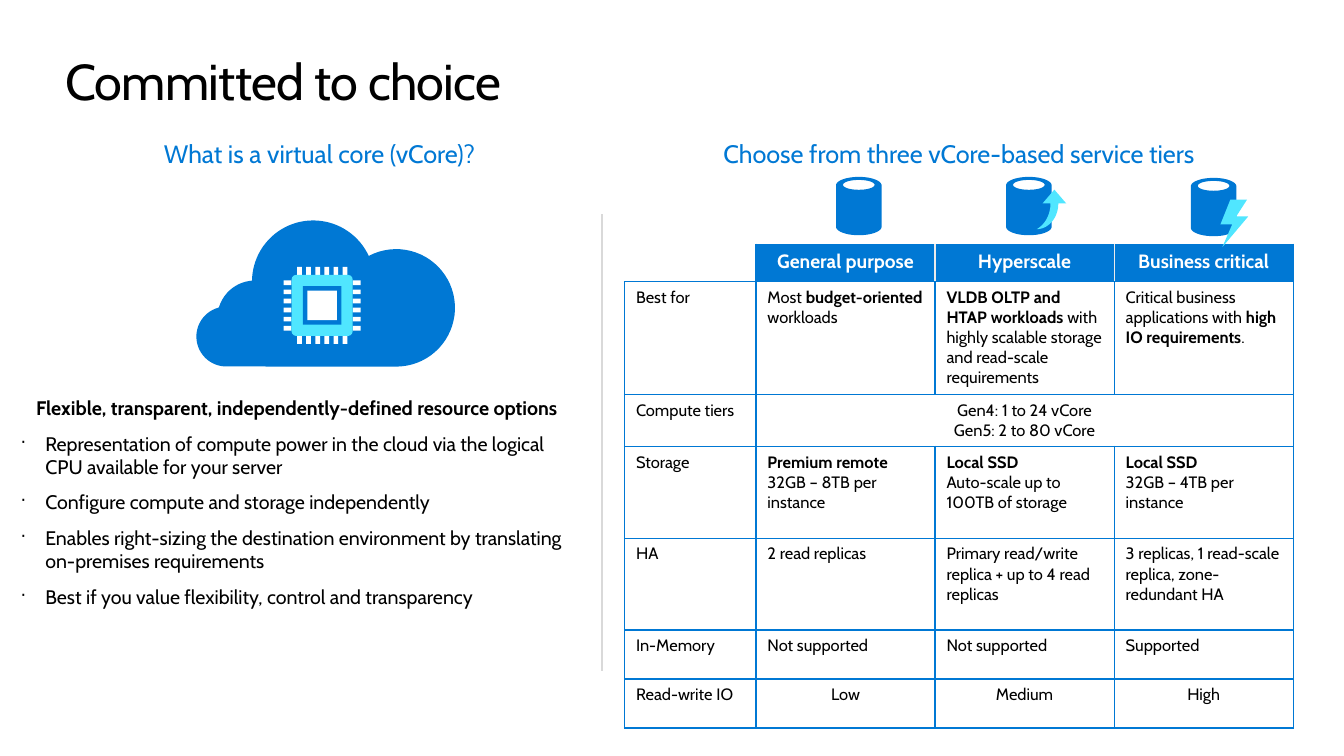
"""Build the slide on vCore-based service tiers."""
from math import cos, radians, sin

from lxml.etree import SubElement
from pptx import Presentation
from pptx.dml.color import RGBColor
from pptx.enum.shapes import MSO_CONNECTOR, MSO_SHAPE
from pptx.enum.text import MSO_ANCHOR, PP_ALIGN
from pptx.oxml.ns import qn
from pptx.util import Pt

COLORS = {"ink": "000000", "blue": "0078D4", "cyan": "50E6FF", "white": "FFFFFF",
          "rule": "D9D9D9", "light": "EBEBEB"}
FONT = "Cabin"


def rgb(name):
    return RGBColor.from_string(COLORS[name])


def write(frame, text, size=12, color="ink", bold=False, align=PP_ALIGN.LEFT,
          spacing=0, bullet=None, before=0, after=0, leading=None):
    """Add one paragraph per line; asterisks switch bold on and off."""
    for line in text.split("\n"):
        fresh = len(frame.paragraphs) == 1 and not frame.paragraphs[0].runs
        paragraph = frame.paragraphs[0] if fresh else frame.add_paragraph()
        paragraph.alignment = align
        paragraph.space_before = Pt(0 if fresh else before)
        paragraph.space_after = Pt(after)
        if leading:
            paragraph.line_spacing = leading
        if bullet:
            properties = paragraph._p.get_or_add_pPr()
            properties.set("marL", str(Pt(18)))
            properties.set("indent", str(Pt(-18)))
            SubElement(properties, qn("a:buSzPct"), val="90000")
            SubElement(properties, qn("a:buChar"), char=bullet)
        for index, part in enumerate(line.split("*")):
            if not part:
                continue
            run = paragraph.add_run()
            run.text = part
            run.font.name, run.font.size = FONT, Pt(size)
            run.font.bold = bold or index % 2 == 1
            run.font.color.rgb = rgb(color)
            if spacing:
                run._r.get_or_add_rPr().set("spc", str(int(spacing * 100)))


def arc(cx, cy, rx, ry, start, end, steps=40):
    angles = [radians(start + (end - start) * i / steps) for i in range(steps + 1)]
    return [(cx + rx * cos(a), cy + ry * sin(a)) for a in angles]


class Canvas:
    """Hold the current slide and draw styled elements in points."""

    def __init__(self, slide):
        self.shapes = slide.shapes

    def text_box(self, left, top, width, height, inset=(0, 0)):
        frame = self.shapes.add_textbox(Pt(left), Pt(top), Pt(width), Pt(height)).text_frame
        frame.word_wrap = True
        frame.margin_left = frame.margin_right = Pt(inset[0])
        frame.margin_top = frame.margin_bottom = Pt(inset[1])
        return frame

    def paint(self, shape, color):
        shape.shadow.inherit = False
        shape.fill.solid()
        shape.fill.fore_color.rgb = rgb(color)
        shape.line.fill.background()

    def outline(self, color, *contours):
        contours = [[(Pt(x), Pt(y)) for x, y in contour] for contour in contours]
        builder = self.shapes.build_freeform(*contours[0][0])
        for index, contour in enumerate(contours):
            if index:
                builder.move_to(*contour[0])
            builder.add_line_segments(contour[1:], close=True)
        self.paint(builder.convert_to_shape(), color)

    def square(self, color, left, top, side, corner=0):
        kind = MSO_SHAPE.ROUNDED_RECTANGLE if corner else MSO_SHAPE.RECTANGLE
        shape = self.shapes.add_shape(kind, Pt(left), Pt(top), Pt(side), Pt(side))
        if corner:
            shape.adjustments[0] = corner
        self.paint(shape, color)

    def database(self, left, top):
        middle = left + 16.6
        self.outline("blue",
                     arc(middle, top + 6.2, 16.6, 6.2, 180, 360)
                     + arc(middle, top + 36.3, 16.6, 6.2, 0, 180),
                     arc(middle, top + 5.8, 11.5, 3.6, 0, 360))

    def divider(self, x, top, bottom):
        line = self.shapes.add_connector(MSO_CONNECTOR.STRAIGHT, Pt(x), Pt(top), Pt(x), Pt(bottom))
        line.line.color.rgb = rgb("rule")
        line.line.width = Pt(1)
        SubElement(line._element.spPr, qn("a:effectLst"))

    def borders(self, cell, **sides):
        properties = cell._tc.get_or_add_tcPr()
        for index, side in enumerate("LRTB"):
            edge = SubElement(properties, qn("a:ln" + side), w=str(Pt(1)))
            if side in sides:
                fill = SubElement(edge, qn("a:solidFill"))
                SubElement(fill, qn("a:srgbClr"), val=COLORS[sides[side]])
            else:
                SubElement(edge, qn("a:noFill"))
            properties.insert(index, edge)

    def table(self, left, top, widths, heights, rows):
        table = self.shapes.add_table(len(rows), len(widths), Pt(left), Pt(top),
                                      Pt(sum(widths)), Pt(sum(heights))).table
        table.first_row = table.horz_banding = False
        for column, width in zip(table.columns, widths):
            column.width = Pt(width)
        for row, height in zip(table.rows, heights):
            row.height = Pt(height)
        for r, row in enumerate(rows):
            for c, text in enumerate(row):
                self.cell(table.cell(r, c), r, c, text, len(rows) - 1, len(widths) - 1)
        return table

    def cell(self, cell, r, c, text, last_row, last_column):
        header = r == 0 and c > 0
        cell.margin_left = cell.margin_right = Pt(8.4)
        cell.margin_top = cell.margin_bottom = Pt(4.3 if text else 0)
        if header:
            cell.fill.solid()
            cell.fill.fore_color.rgb = rgb("blue")
            self.borders(cell, L="light" if c > 1 else "blue",
                         R="light" if c < last_column else "blue", B="blue")
            write(cell.text_frame, text, size=14, color="white", bold=True, align=PP_ALIGN.CENTER)
            return
        cell.fill.background()
        if r == 0:
            self.borders(cell, R="blue", B="blue")
            return
        self.borders(cell, **dict.fromkeys("LRTB", "blue"))
        centred = c > 0 and (r == last_row or text.startswith("Gen"))
        write(cell.text_frame, text, align=PP_ALIGN.CENTER if centred else PP_ALIGN.LEFT)


TIERS = [
    ["", "General purpose", "Hyperscale", "Business critical"],
    ["Best for", "Most *budget-oriented* workloads",
     "*VLDB OLTP and HTAP workloads *with highly scalable storage and read-scale requirements",
     "Critical business applications with *high IO requirements*."],
    ["Compute tiers", "Gen4: 1 to 24 vCore\nGen5: 2 to 80 vCore", "", ""],
    ["Storage", "*Premium remote*\n32GB – 8TB per instance",
     "*Local SSD*\nAuto-scale up to 100TB of storage", "*Local SSD*\n32GB – 4TB per instance"],
    ["HA", "2 read replicas", "Primary read/write replica + up to 4 read replicas",
     "3 replicas, 1 read-scale replica, zone-redundant HA"],
    ["In-Memory", "Not supported", "Not supported", "Supported"],
    ["Read-write IO", "Low", "Medium", "High"],
]
BENEFITS = """Representation of compute power in the cloud via the logical CPU available for your server
Configure compute and storage independently
Enables right-sizing the destination environment by translating on-premises requirements
Best if you value flexibility, control and transparency"""


def draw_cloud_chip(canvas):
    canvas.outline("blue", arc(288.7, 224.3, 42.8, 42.8, 90, -117)
                   + arc(228.2, 205.2, 44.6, 44.6, -24.5, -180)
                   + arc(185.8, 231.8, 27.4, 27.4, -95, -163)
                   + arc(164.9, 245.2, 21.8, 21.8, -105, -270))
    pins = []
    for step in range(6):
        offset = 6.63 * step
        for far in (0, 50.4):
            pins.append((206.6 + far, 204.3 + offset, 5.8, 3.4))
            pins.append((216.5 + offset, 194.4 + far, 3.4, 5.8))
    canvas.outline("white", *[[(x, y), (x + w, y), (x + w, y + h), (x, y + h)]
                              for x, y, w, h in pins])
    canvas.square("cyan", 212.4, 200.2, 44.6, corner=0.08)
    canvas.square("blue", 220.7, 208.5, 28)
    canvas.square("white", 223.9, 211.7, 21.6)


def main():
    deck = Presentation()
    deck.slide_width, deck.slide_height = Pt(979.2), Pt(550.8)
    canvas = Canvas(deck.slides.add_slide(deck.slide_layouts[6]))

    write(canvas.text_box(47.5, 36.7, 885, 44.6), "Committed to choice", size=36.7, spacing=-0.5)
    write(canvas.text_box(455, 100.8, 487.4, 23, inset=(7.2, 0)),
          "Choose from three vCore-based service tiers", size=18.4, color="blue",
          align=PP_ALIGN.CENTER)
    tiers = canvas.table(455, 177.5, [95.8] + [130.5] * 3, [27.7, 82, 37.9, 67, 67, 35.7, 35.7],
                         TIERS)
    compute = tiers.cell(2, 1)
    compute.merge(tiers.cell(2, 3))
    compute.vertical_anchor = MSO_ANCHOR.MIDDLE

    for left, top in ((609.1, 128.9), (733, 128.9), (867.6, 129.6)):
        canvas.database(left, top)
    canvas.outline("cyan", [(908.6, 145.4), (896.4, 145.4), (889.2, 163.4), (897.8, 163.4),
                            (890.6, 180), (909.4, 157.7), (900.7, 157.7)])
    canvas.outline("cyan", arc(748.1, 148.3, 17.3, 20.6, 65, 0)
                   + [(759.6, 148.3), (768.2, 138.2), (776.9, 148.3)]
                   + arc(755.3, 148.3, 15.8, 18.7, 0, 90))
    draw_cloud_chip(canvas)

    canvas.divider(438.5, 156.2, 488.9)
    write(canvas.text_box(112.3, 100.8, 281.5, 23, inset=(7.2, 0)),
          "What is a virtual core (vCore)?", size=18.4, color="blue")
    benefits = canvas.text_box(7.9, 285.8, 416.9, 154.8, inset=(7.2, 3.6))
    body = dict(size=14.3, before=3.4, after=6.1, leading=0.97)
    write(benefits, "Flexible, transparent, independently-defined resource options",
          bold=True, align=PP_ALIGN.CENTER, **body)
    write(benefits, BENEFITS, bullet="·", **body)
    deck.save("out.pptx")


if __name__ == "__main__":
    main()
